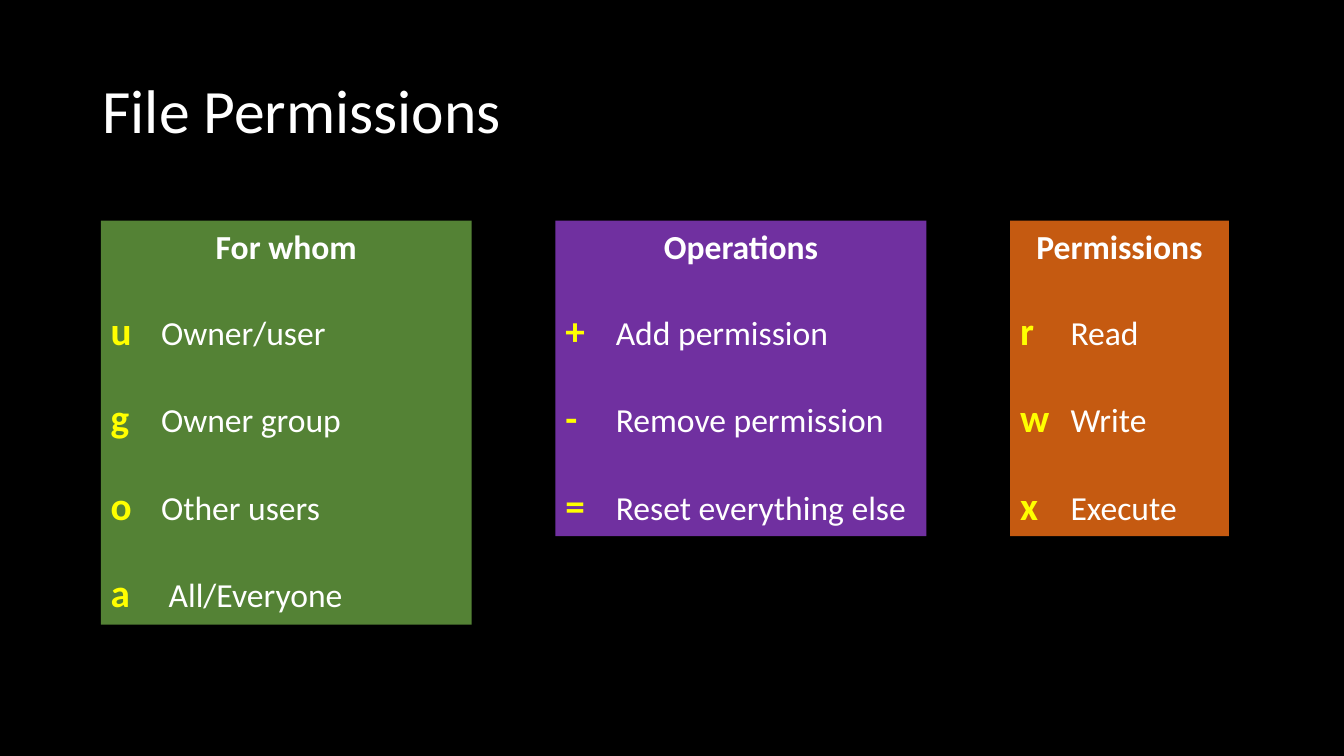
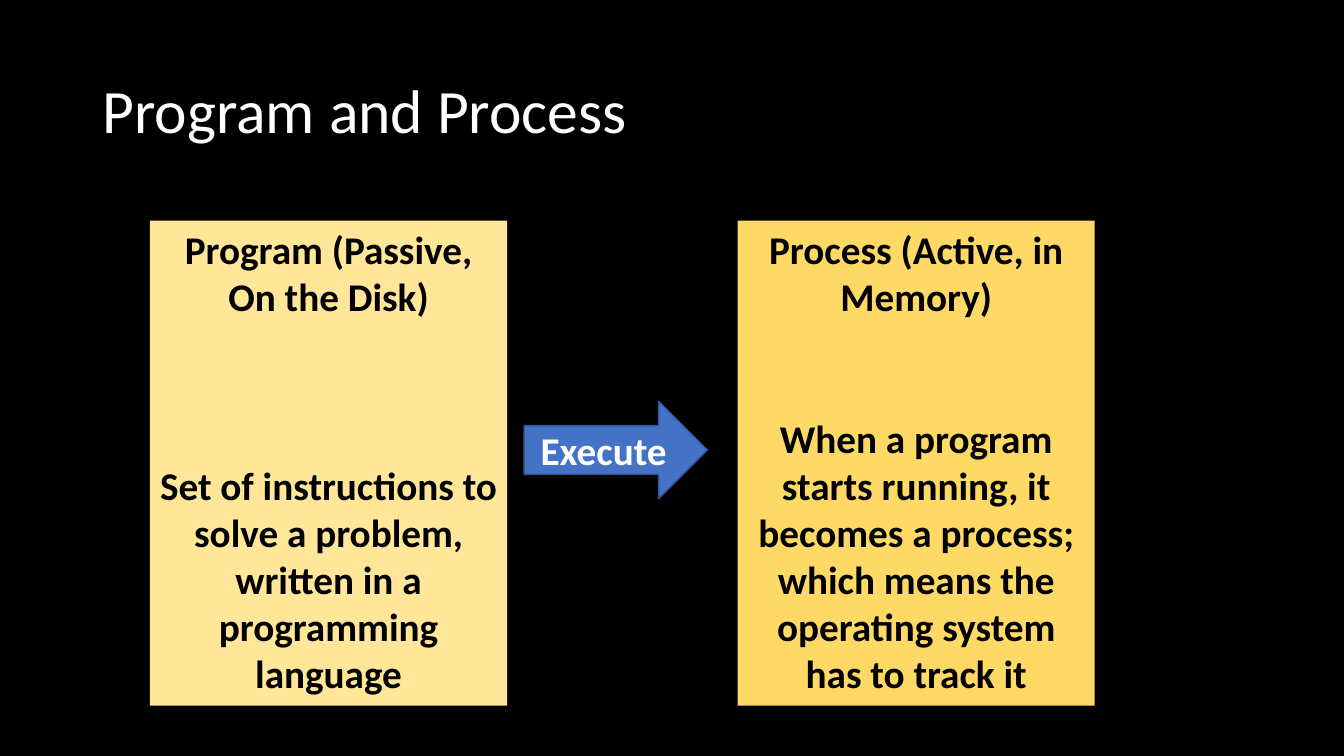
from pptx import Presentation
from pptx.dml.color import RGBColor
from pptx.enum.shapes import MSO_SHAPE
from pptx.enum.text import MSO_ANCHOR, PP_ALIGN
from pptx.oxml.ns import qn
from pptx.util import Cm, Pt
from lxml.etree import SubElement

FONT = "Calibri"
BLACK, WHITE, YELLOW = "000000", "FFFFFF", "FFFF00"
LINE = 1.2  # line height as a share of the font size
BOX_TOP = 5.56


def rgb(value):
    return RGBColor.from_string(value)


class Deck:
    """Holds the shared style and the current slide."""

    def __init__(self):
        self.prs = Presentation()
        self.prs.slide_width, self.prs.slide_height = Cm(33.87), Cm(19.05)
        fill = self.prs.slide_master.background.fill
        fill.solid()
        fill.fore_color.rgb = rgb(BLACK)
        self.s = None

    def style(self, font, size, color, bold=False):
        font.name, font.size, font.bold = FONT, Pt(size), bold
        font.color.rgb = rgb(color)

    def slide(self, title):
        self.s = self.prs.slides.add_slide(self.prs.slide_layouts[5])
        sp = self.s.shapes.title
        sp.left, sp.top, sp.width, sp.height = Cm(2.33), Cm(1.01), Cm(29.21), Cm(3.68)
        tf = sp.text_frame
        tf.text = title
        tf.vertical_anchor = MSO_ANCHOR.MIDDLE
        p = tf.paragraphs[0]
        p.alignment, p.line_spacing = PP_ALIGN.LEFT, 0.9
        self.style(p.font, 44, WHITE)

    def shape(self, kind, left, top, width, height, fill, line=None):
        sp = self.s.shapes.add_shape(kind, Cm(left), Cm(top), Cm(width), Cm(height))
        sp.shadow.inherit = False
        sp.fill.solid()
        sp.fill.fore_color.rgb = rgb(fill)
        if line:
            sp.line.color.rgb = rgb(line)
            sp.line.width = Pt(1)
        else:
            sp.line.fill.background()
        tf = sp.text_frame
        tf.word_wrap = True
        tf.vertical_anchor = MSO_ANCHOR.TOP
        return tf

    def centred(self, p, text, size, color, gap=0):
        p.text = text
        p.alignment = PP_ALIGN.CENTER
        if gap:
            p.space_before = Pt(gap)
        self.style(p.font, size, color, bold=True)

    def key_box(self, left, width, fill, heading, rows):
        """A coloured box that explains one symbol per row."""
        height = 1.26 + 2.23 * len(rows)
        tf = self.shape(MSO_SHAPE.RECTANGLE, left, BOX_TOP, width, height, fill)
        self.centred(tf.paragraphs[0], heading, 24, WHITE)
        for key, meaning in rows:
            p = tf.add_paragraph()
            p.alignment, p.space_before = PP_ALIGN.LEFT, Pt(24 * LINE)
            tabs = SubElement(p._p.get_or_add_pPr(), qn("a:tabLst"))
            SubElement(tabs, qn("a:tab"), pos=str(Cm(1.27)), algn="l")
            for text, size, color in ((key, 28, YELLOW), ("\t" + meaning, 24, WHITE)):
                r = p.add_run()
                r.text = text
                self.style(r.font, size, color, bold=text == key)

    def definition_box(self, left, fill, term, meaning, gap_lines):
        tf = self.shape(MSO_SHAPE.RECTANGLE, left, BOX_TOP, 9, 12.22, fill)
        self.centred(tf.paragraphs[0], term, 28, BLACK)
        self.centred(tf.add_paragraph(), meaning, 28, BLACK, gap_lines * 28 * LINE)

    def arrow(self, left, top, width, height, text):
        tf = self.shape(MSO_SHAPE.RIGHT_ARROW, left, top, width, height, "4472C4", "325491")
        tf.vertical_anchor = MSO_ANCHOR.MIDDLE
        self.centred(tf.paragraphs[0], text, 28, WHITE)


def main():
    deck = Deck()

    # File permissions: three boxes with equal gaps
    deck.slide("File Permissions")
    boxes = [
        (9.35, "548235", "For whom",
         [("u", "Owner/user"), ("g", "Owner group"), ("o", "Other users"),
          ("a", " All/Everyone")]),
        (9.35, "7030A0", "Operations",
         [("+", "Add permission"), ("-", "Remove permission"),
          ("=", "Reset everything else")]),
        (5.51, "C55A11", "Permissions",
         [("r", "Read"), ("w", "Write"), ("x", "Execute")]),
    ]
    left = 2.54
    for width, fill, heading, rows in boxes:
        deck.key_box(left, width, fill, heading, rows)
        left += width + 2.11

    # Program and process: executing turns one into the other
    deck.slide("Program and Process")
    deck.definition_box(
        3.78, "FFE699", "Program (Passive, On the Disk)",
        "Set of instructions to solve a problem, written in a programming language", 3)
    deck.arrow(13.21, 10.11, 4.62, 2.46, "Execute")
    deck.definition_box(
        18.59, "FFD966", "Process (Active, in Memory)",
        "When a program starts running, it becomes a process; "
        "which means the operating system has to track it", 2)

    deck.prs.save("out.pptx")


if __name__ == "__main__":
    main()
